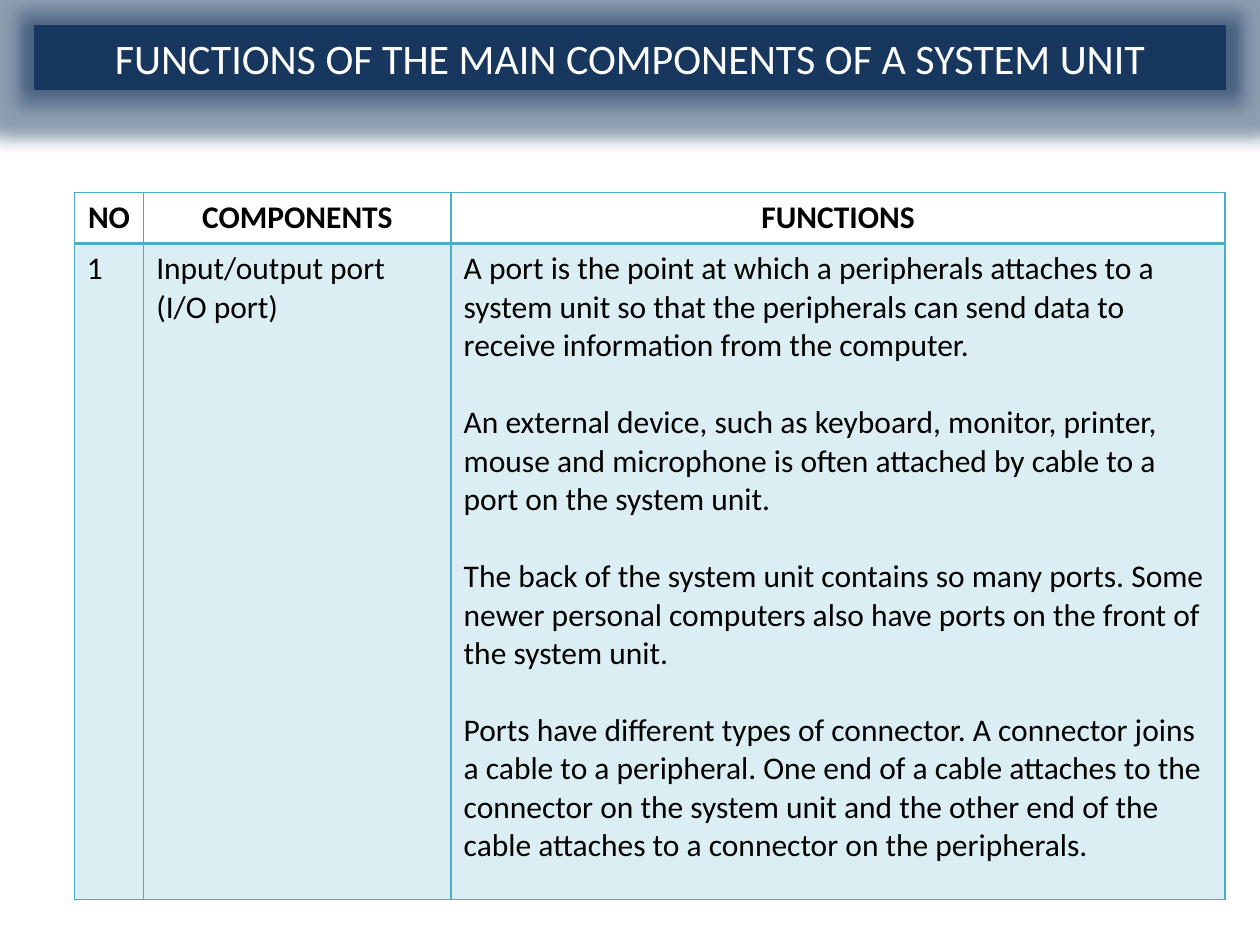
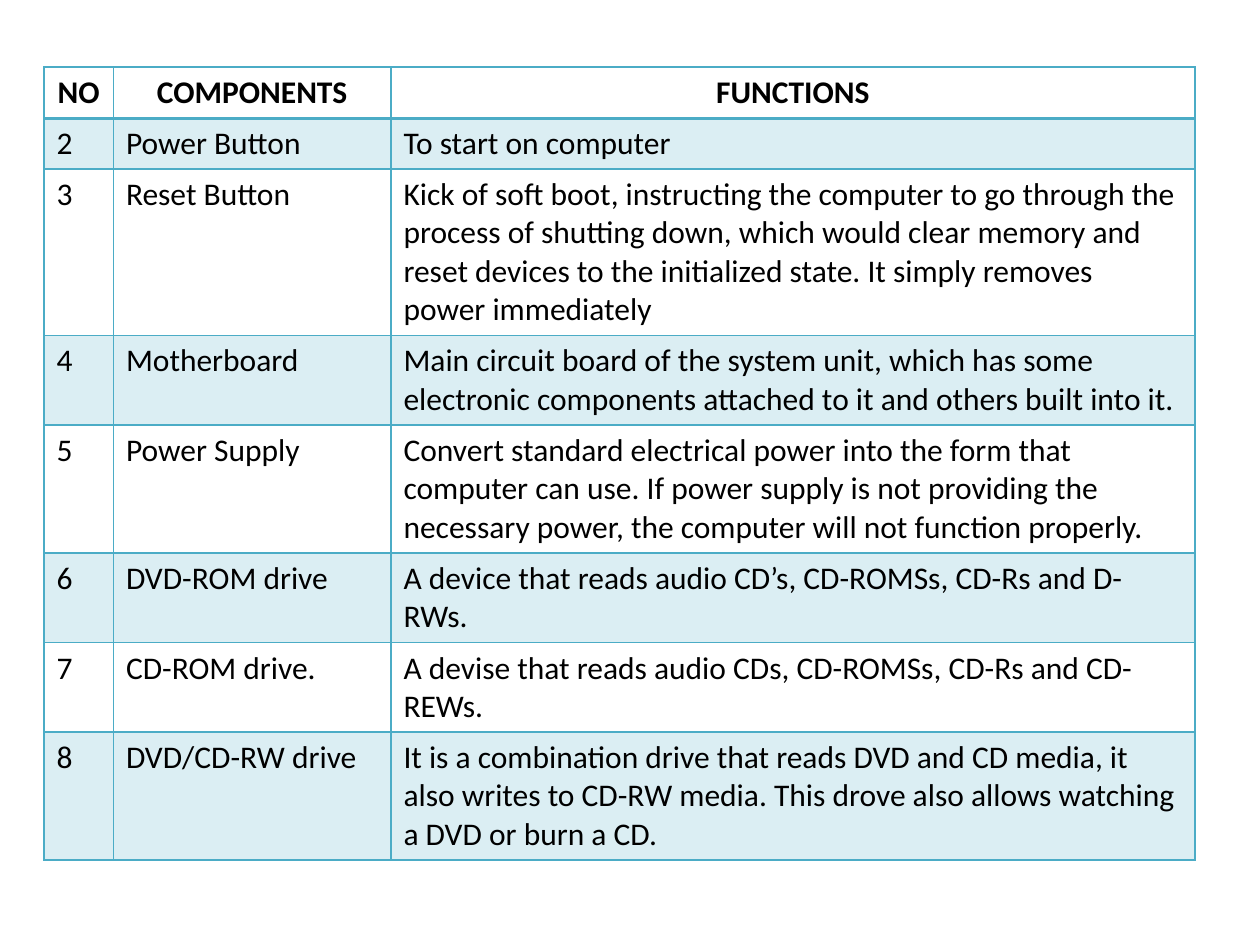
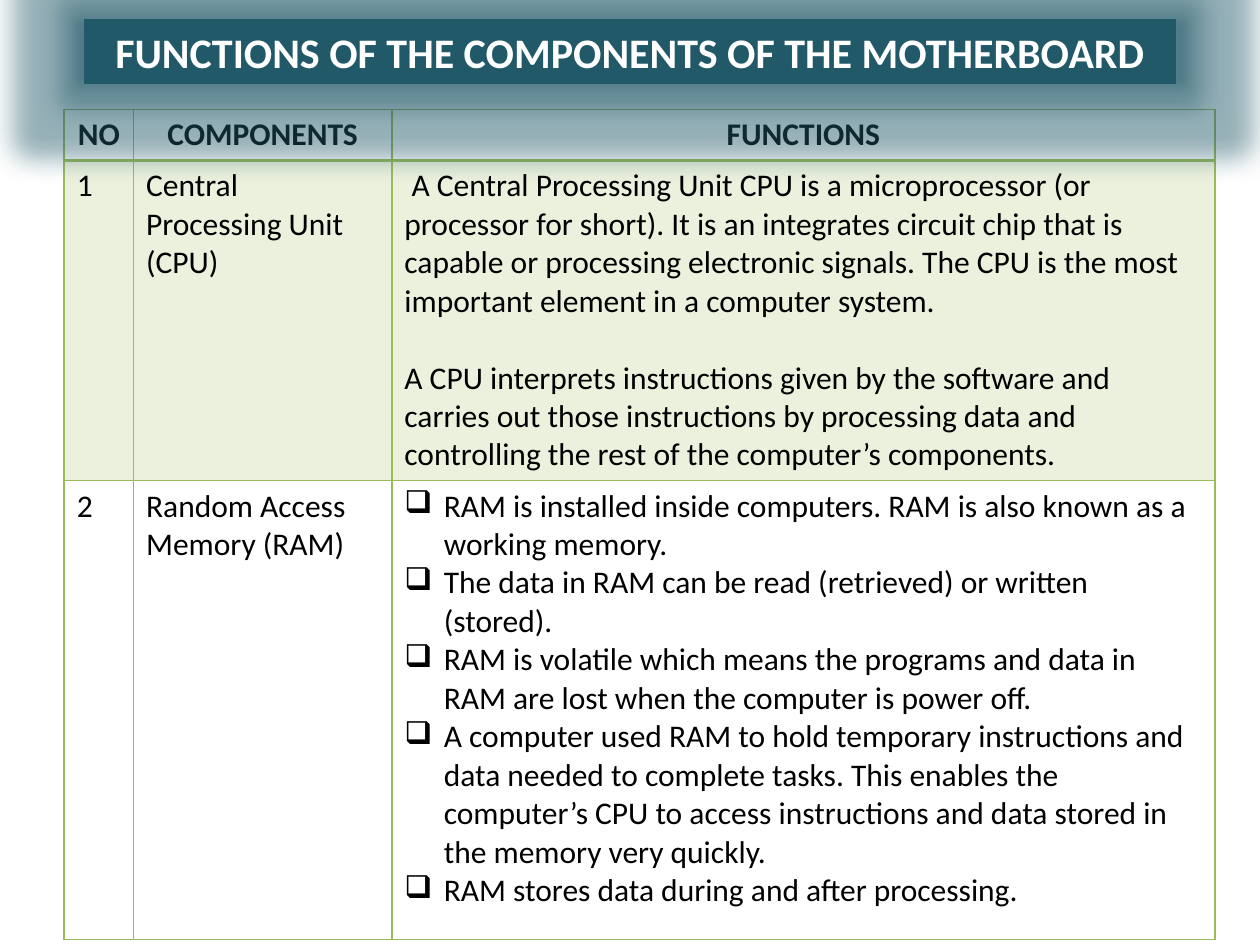
import pptx
import pptx.dml.color
import pptx.enum.shapes
import pptx.enum.text
import pptx.oxml
import pptx.oxml.ns
import pptx.util

Pt = pptx.util.Pt
CENTER = pptx.enum.text.PP_ALIGN.CENTER
NAMESPACE = pptx.oxml.ns.nsdecls("a")
FONT = "Calibri"
NAVY, DARK_TEAL, AQUA, GREEN = "17375E", "215968", "4BACC6", "9BBB59"
WHITE, BLACK = "FFFFFF", "000000"
HEADINGS = ("NO", "COMPONENTS", "FUNCTIONS")
HEADING_HEIGHT = 29.2
NUMBER_WIDTH = 39.6
TABLE_WIDTH = 657.6
PARAGRAPH_GAP = 22
BULLET_INDENT = 22.5

PORT_ROWS = [
    ("1", "Input/output port (I/O port)", [
        "A port is the point at which a peripherals attaches to a system unit so that "
        "the peripherals can send data to receive information from the computer.",
        "An external device, such as keyboard, monitor, printer, mouse and microphone "
        "is often attached by cable to a port on the system unit.",
        "The back of the system unit contains so many ports. Some newer personal "
        "computers also have ports on the front of the system unit.",
        "Ports have different types of connector. A connector joins a cable to a "
        "peripheral. One end of a cable attaches to the connector on the system unit "
        "and the other end of the cable attaches to a connector on the peripherals.",
    ]),
]
UNIT_ROWS = [
    ("2", "Power Button", ["To start on computer"]),
    ("3", "Reset Button", [
        "Kick of soft boot, instructing the computer to go through the process of "
        "shutting down, which would clear memory and reset devices to the initialized "
        "state. It simply removes power immediately"]),
    ("4", "Motherboard", [
        "Main circuit board of the system unit, which has some electronic components "
        "attached to it and others built into it."]),
    ("5", "Power Supply", [
        "Convert standard electrical power into the form that computer can use. If "
        "power supply is not providing the necessary power, the computer will not "
        "function properly."]),
    ("6", "DVD-ROM drive", ["A device that reads audio CD’s, CD-ROMSs, CD-Rs and D-RWs."]),
    ("7", "CD-ROM drive.", ["A devise that reads audio CDs, CD-ROMSs, CD-Rs and CD-REWs."]),
    ("8", "DVD/CD-RW drive", [
        "It is a combination drive that reads DVD and CD media, it also writes to CD-RW "
        "media. This drove also allows watching a DVD or burn a CD."]),
]
MOTHERBOARD_ROWS = [
    ("1", "Central Processing Unit (CPU)", [
        " A Central Processing Unit CPU is a microprocessor (or processor for short). "
        "It is an integrates circuit chip that is capable or processing electronic "
        "signals. The CPU is the most important element in a computer system.",
        "A CPU interprets instructions given by the software and carries out those "
        "instructions by processing data and controlling the rest of the computer’s "
        "components.",
    ]),
    ("2", "Random Access Memory (RAM)", [
        "RAM is installed inside computers. RAM is also known as a working memory.",
        "The data in RAM can be read (retrieved) or written (stored).",
        "RAM is volatile which means the programs and data in RAM are lost when the "
        "computer is power off.",
        "A computer used RAM to hold temporary instructions and data needed to complete "
        "tasks. This enables the computer’s CPU to access instructions and data stored "
        "in the memory very quickly.",
        "RAM stores data during and after processing.",
    ]),
]


def rgb(hex_color):
    """Turn a hex string into a colour."""
    return pptx.dml.color.RGBColor.from_string(hex_color)


def style_runs(paragraph, size, color, bold=False):
    """Format every run of a paragraph."""
    for run in paragraph.runs:
        run.font.name = FONT
        run.font.size = Pt(size)
        run.font.bold = bold
        run.font.color.rgb = rgb(color)


def add_title_band(slide, title, left, top, width, color, glow, bold=False):
    """Add a glowing title band."""
    band = slide.shapes.add_shape(
        pptx.enum.shapes.MSO_SHAPE.RECTANGLE, Pt(left), Pt(top), Pt(width), Pt(36.3))
    band.shadow.inherit = False
    band.fill.solid()
    band.fill.fore_color.rgb = rgb(color)
    band.line.color.rgb = rgb(color)
    band.line.width = Pt(0.75)
    effects = band._element.spPr.find(pptx.oxml.ns.qn("a:effectLst"))
    tint = f'<a:srgbClr val="{color}"><a:alpha val="40000"/></a:srgbClr>'
    effects.append(pptx.oxml.parse_xml(
        f'<a:glow {NAMESPACE} rad="{Pt(glow)}">{tint}</a:glow>'))
    effects.append(pptx.oxml.parse_xml(
        f'<a:outerShdw {NAMESPACE} blurRad="{Pt(5)}" sx="102000" sy="102000" '
        f'algn="ctr" rotWithShape="0">{tint}</a:outerShdw>'))
    band.text_frame.text = title
    band.text_frame.word_wrap = True
    heading = band.text_frame.paragraphs[0]
    heading.alignment = CENTER
    style_runs(heading, 24, WHITE, bold)


def set_borders(cell, color, top, bottom):
    """Draw the four borders of a cell, with its top and bottom widths."""
    properties = cell._tc.get_or_add_tcPr()
    for place, (side, width) in enumerate(zip("LRTB", (1, 1, top, bottom))):
        properties.insert(place, pptx.oxml.parse_xml(
            f'<a:ln{side} {NAMESPACE} w="{Pt(width)}"><a:solidFill>'
            f'<a:srgbClr val="{color}"/></a:solidFill></a:ln{side}>'))


def fill_cell(cell, color, shaded):
    """Tint a shaded cell and leave any other one clear."""
    if not shaded:
        cell.fill.background()
        return
    cell.fill.solid()
    cell.fill.fore_color.rgb = rgb(color)
    tint = next(cell._tc.tcPr.find(pptx.oxml.ns.qn("a:solidFill")).iterchildren())
    tint.append(pptx.oxml.parse_xml(f'<a:alpha {NAMESPACE} val="20000"/>'))


def add_bullet(paragraph):
    """Give a paragraph a hanging box bullet."""
    properties = paragraph._p.get_or_add_pPr()
    properties.set("marL", str(Pt(BULLET_INDENT)))
    properties.set("indent", str(-Pt(BULLET_INDENT)))
    properties.append(pptx.oxml.parse_xml(f'<a:buChar {NAMESPACE} char="❑"/>'))


def write_cell(cell, texts, heading=False, bulleted=False):
    """Write the paragraphs of a cell, bulleted or set apart by a gap."""
    cell.text_frame.text = "\n".join(texts)
    for index, paragraph in enumerate(cell.text_frame.paragraphs):
        if heading:
            paragraph.alignment = CENTER
        if bulleted:
            add_bullet(paragraph)
        elif index:
            paragraph.space_before = Pt(PARAGRAPH_GAP)
        style_runs(paragraph, 18, BLACK, heading)


def add_component_table(slide, left, top, name_width, rows, heights, color, bulleted=()):
    """Add a table of numbered components and their functions."""
    heights = [HEADING_HEIGHT, *heights]
    table = slide.shapes.add_table(
        len(heights), len(HEADINGS), Pt(left), Pt(top), Pt(TABLE_WIDTH), Pt(sum(heights))).table
    widths = (NUMBER_WIDTH, name_width, TABLE_WIDTH - NUMBER_WIDTH - name_width)
    for column, width in zip(table.columns, widths):
        column.width = Pt(width)
    for row, height in zip(table.rows, heights):
        row.height = Pt(height)
    contents = [[[heading] for heading in HEADINGS]]
    contents += [[[number], [name], functions] for number, name, functions in rows]
    for row_index, row_texts in enumerate(contents):
        for column_index, texts in enumerate(row_texts):
            cell = table.cell(row_index, column_index)
            has_bullets = column_index == 2 and row_texts[0][0] in bulleted
            write_cell(cell, texts, row_index == 0, has_bullets)
            fill_cell(cell, color, row_index % 2 == 1)
            set_borders(cell, color, 2 if row_index == 1 else 1, 2 if row_index == 0 else 1)


def main():
    """Build the three slides."""
    deck = pptx.Presentation()
    deck.slide_width, deck.slide_height = Pt(720), Pt(540)
    ports, unit, motherboard = (
        deck.slides.add_slide(deck.slide_layouts[6]) for _ in range(3))

    add_title_band(ports, "FUNCTIONS OF THE MAIN COMPONENTS OF A SYSTEM UNIT",
                   19.8, 14.8, 680.4, NAVY, 18)
    add_component_table(ports, 42.5, 110, 175.7, PORT_ROWS, [374.8], AQUA)

    add_component_table(unit, 25.2, 38.3, 158.6, UNIT_ROWS,
                        [29.2, 95, 51.1, 73.1, 51.1, 51.1, 73.1], AQUA)

    add_component_table(motherboard, 36.7, 62.5, 147.6, MOTHERBOARD_ROWS,
                        [182.9, 262.2], GREEN, bulleted=("2",))
    add_title_band(motherboard, "FUNCTIONS OF THE COMPONENTS OF THE MOTHERBOARD",
                   48.2, 11.3, 623.5, DARK_TEAL, 28, bold=True)
    deck.save("out.pptx")


if __name__ == "__main__":
    main()
